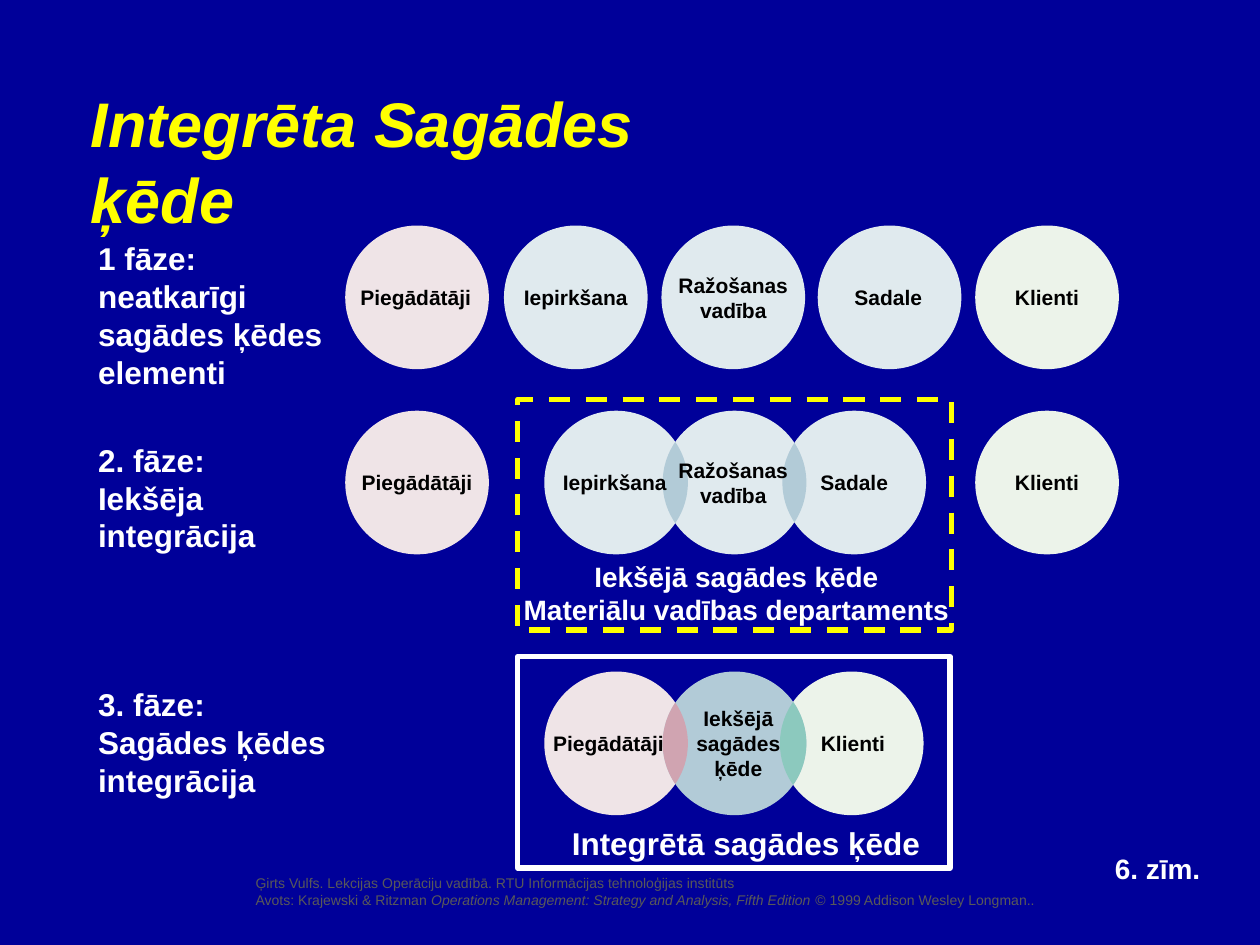
import math

from lxml import etree
from pptx import Presentation
from pptx.dml.color import RGBColor
from pptx.enum import dml, shapes, text
from pptx.util import Inches, Pt

NAVY = RGBColor(0x00, 0x00, 0x99)
YELLOW = RGBColor(0xFF, 0xFF, 0x00)
WHITE = RGBColor(0xFF, 0xFF, 0xFF)
BLACK = RGBColor(0x00, 0x00, 0x00)
GREY = RGBColor(0x59, 0x59, 0x59)
PINK = RGBColor(0xEF, 0xE4, 0xE7)
PALE_BLUE = RGBColor(0xE0, 0xEA, 0xEE)
PALE_GREEN = RGBColor(0xEC, 0xF3, 0xEA)
STEEL = RGBColor(0xB2, 0xCB, 0xD7)
ROSE = RGBColor(0xD0, 0xA4, 0xB1)
TEAL = RGBColor(0x8C, 0xC9, 0xBE)

# Content
TITLE = "Integrēta Sagādes ķēde"
PRODUCTION = ["Ražošanas", "vadība"]

# Each phase: centre height, circles (centre x, colour, label lines, label centre x),
# and overlaps (left circle, right circle, colour); circles go from back to front
PHASES = [
    (2.36, [(3.31, PINK, ["Piegādātāji"], 3.30),
            (4.57, PALE_BLUE, ["Iepirkšana"], 4.57),
            (5.82, PALE_BLUE, PRODUCTION, 5.82),
            (7.06, PALE_BLUE, ["Sadale"], 7.05),
            (8.31, PALE_GREEN, ["Klienti"], 8.31)], []),
    (3.83, [(3.31, PINK, ["Piegādātāji"], 3.31),
            (4.89, PALE_BLUE, ["Iepirkšana"], 4.88),
            (6.78, PALE_BLUE, ["Sadale"], 6.78),
            (5.83, PALE_BLUE, PRODUCTION, 5.82),
            (8.31, PALE_GREEN, ["Klienti"], 8.31)],
     [(4.89, 5.83, STEEL), (5.83, 6.78, STEEL)]),
    (5.90, [(4.89, PINK, ["Piegādātāji"], 4.83),
            (6.76, PALE_GREEN, ["Klienti"], 6.77),
            (5.83, STEEL, ["Iekšējā", "sagādes", "ķēde"], 5.86)],
     [(4.89, 5.83, ROSE), (5.83, 6.76, TEAL)]),
]
PHASE_NAMES = [
    (["1 fāze:", "neatkarīgi sagādes ķēdes elementi"], (0.68, 1.85, 2.15, 1.3)),
    (["2. fāze:", "Iekšēja", "integrācija"], (0.68, 3.45, 1.67, 1)),
    (["3. fāze:", "Sagādes ķēdes integrācija"], (0.68, 5.39, 2.64, 1)),
]
FRAMES = [((4.11, 3.17, 3.44, 1.83), YELLOW, dml.MSO_LINE.DASH),
          ((4.11, 5.21, 3.43, 1.68), WHITE, None)]
INTERNAL_CHAIN = ["Iekšējā sagādes ķēde", "Materiālu vadības departaments"]
SOURCE = [
    "Ģirts Vulfs. Lekcijas Operāciju vadībā. RTU Informācijas tehnoloģijas institūts",
    [("Avots: Krajewski & Ritzman ", False),
     ("Operations Management: Strategy and Analysis, Fifth Edition", True),
     (" © 1999 Addison Wesley Longman..", False)],
]

RADIUS = 0.57
LABEL_HEIGHT = 0.3

prs = Presentation()
prs.slide_width, prs.slide_height = Inches(10), Inches(7.5)
slide = prs.slides.add_slide(prs.slide_layouts[5])
slide.background.fill.solid()
slide.background.fill.fore_color.rgb = NAVY


def write(lines, box, size=18, color=WHITE, bold=True, italic=False,
          align=text.PP_ALIGN.LEFT, anchor=text.MSO_ANCHOR.TOP, wrap=False, holder=None):
    """Write one paragraph per line; a line is a string or (text, italic) pairs."""
    area = [Inches(v) for v in box]
    if holder is None:
        holder = slide.shapes.add_textbox(*area)
    else:
        holder.left, holder.top, holder.width, holder.height = area
    frame = holder.text_frame
    frame.word_wrap = wrap
    frame.auto_size = text.MSO_AUTO_SIZE.NONE
    frame.vertical_anchor = anchor
    for i, line in enumerate(lines):
        paragraph = frame.add_paragraph() if i else frame.paragraphs[0]
        paragraph.alignment = align
        for words, slanted in [(line, italic)] if isinstance(line, str) else line:
            run = paragraph.add_run()
            run.text = words
            run.font.name, run.font.size = "Arial", Pt(size)
            run.font.bold, run.font.italic = bold, slanted
            run.font.color.rgb = color


def paint(shape, color):
    shape.shadow.inherit = False
    shape.fill.solid()
    shape.fill.fore_color.rgb = color
    shape.line.fill.background()


def add_circle(x, y, color):
    circle = slide.shapes.add_shape(
        shapes.MSO_SHAPE.OVAL, Inches(x - RADIUS), Inches(y - RADIUS),
        Inches(2 * RADIUS), Inches(2 * RADIUS))
    paint(circle, color)


def add_overlap(left, right, y, color, steps=24):
    """Fill the lens shared by two circles on the same height."""
    half_angle = math.acos((right - left) / 2 / RADIUS)
    turns = [half_angle * (2 * i / steps - 1) for i in range(steps + 1)]
    arc = [(left + RADIUS * math.cos(t), y + RADIUS * math.sin(t)) for t in turns]
    arc += [(right - RADIUS * math.cos(t), y - RADIUS * math.sin(t)) for t in turns[1:-1]]
    points = [(Inches(px), Inches(py)) for px, py in arc]
    builder = slide.shapes.build_freeform(*points[0])
    builder.add_line_segments(points[1:], close=True)
    paint(builder.convert_to_shape(), color)


# Title and source
write([TITLE], (0.62, 0.62, 5.78, 0.7), size=36, color=YELLOW, italic=True,
      holder=slide.shapes.title)
write(SOURCE, (1.93, 6.89, 6.4, 0.37), size=8, color=GREY, bold=False)

# Frames around the integrated chains
for box, color, dash in FRAMES:
    border = slide.shapes.add_shape(shapes.MSO_SHAPE.RECTANGLE, *[Inches(v) for v in box])
    border.shadow.inherit = False
    border.fill.background()
    border.line.color.rgb = color
    border.line.width = Pt(3)
    if dash:
        border.line.dash_style = dash

# Circles, overlaps and their labels
for y, circles, overlaps in PHASES:
    for x, color, _, _ in circles:
        add_circle(x, y, color)
    for left, right, color in overlaps:
        add_overlap(left, right, y, color)
    for _, _, label, x in circles:
        write(label, (x - RADIUS, y - LABEL_HEIGHT / 2, 2 * RADIUS, LABEL_HEIGHT), size=12,
              color=BLACK, align=text.PP_ALIGN.CENTER, anchor=text.MSO_ANCHOR.MIDDLE)

# Captions
for lines, box in PHASE_NAMES:
    write(lines, box, wrap=True)
write(INTERNAL_CHAIN, (4.06, 4.39, 3.57, 0.64), size=16, align=text.PP_ALIGN.CENTER)
write(["Integrētā sagādes ķēde"], (4.44, 6.49, 2.96, 0.4))
write(["6. zīm."], (8.75, 6.71, 0.88, 0.37), size=16)

prs.save("out.pptx")
